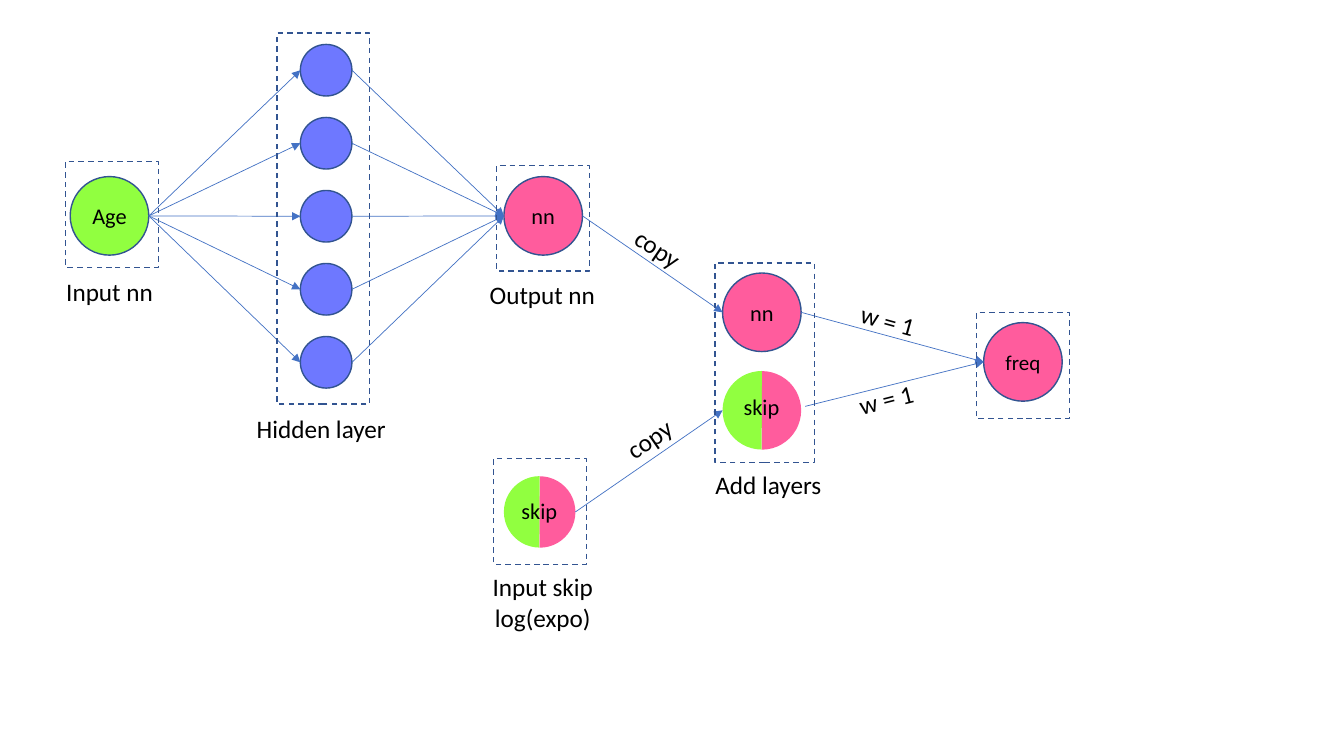
from dataclasses import dataclass

from lxml import etree
from pptx import Presentation
from pptx import util as u
from pptx.dml.color import RGBColor
from pptx.enum import dml, shapes, text
from pptx.oxml import ns


@dataclass(frozen=True)
class Theme:
    font: str = "Calibri"
    ink: str = "000000"
    outline: str = "325491"
    arrow: str = "4472C4"
    green: str = "91FF40"
    blue: str = "6E78FF"
    pink: str = "FF5C9D"
    caption_size: int = 18
    node_size: int = 16
    small_size: int = 15
    outline_width: float = 1
    arrow_width: float = 0.5


@dataclass(frozen=True)
class Node:
    x: float
    y: float
    diameter: float = 1.98

    @property
    def left(self):
        return self.x - self.diameter / 2, self.y

    @property
    def right(self):
        return self.x + self.diameter / 2, self.y


class Diagram:
    def __init__(self, slide, theme):
        self.slide = slide
        self.theme = theme

    def shape(self, kind, x, y, width, height, fill=None, outlined=True):
        box = (x - width / 2, y - height / 2, width, height)
        shape = self.slide.shapes.add_shape(kind, *map(u.Cm, box))
        shape.shadow.inherit = False
        if fill:
            shape.fill.solid()
            shape.fill.fore_color.rgb = RGBColor.from_string(fill)
        else:
            shape.fill.background()
        if outlined:
            shape.line.color.rgb = RGBColor.from_string(self.theme.outline)
            shape.line.width = u.Pt(self.theme.outline_width)
        else:
            shape.line.fill.background()
        return shape

    def set_words(self, frame, words, size, align):
        frame.text = words
        for paragraph in frame.paragraphs:
            paragraph.alignment = align
            for run in paragraph.runs:
                run.font.name = self.theme.font
                run.font.size = u.Pt(size)
                run.font.color.rgb = RGBColor.from_string(self.theme.ink)

    def circle(self, node, fill, words="", size=None):
        circle = self.shape(shapes.MSO_SHAPE.OVAL, node.x, node.y,
                            node.diameter, node.diameter, fill)
        if words:
            frame = circle.text_frame
            frame.margin_left = frame.margin_right = 0
            frame.vertical_anchor = text.MSO_ANCHOR.MIDDLE
            self.set_words(frame, words, size or self.theme.node_size,
                           text.PP_ALIGN.CENTER)

    def split_circle(self, node):
        for fill, rotation in ((self.theme.green, 0), (self.theme.pink, 180)):
            half = self.shape(shapes.MSO_SHAPE.PIE, node.x, node.y,
                              node.diameter, node.diameter, fill, outlined=False)
            half.adjustments[0] = 54.17
            half.adjustments[1] = 162
            half.rotation = rotation

    def frame(self, x, y, width=2.34, height=2.67):
        frame = self.shape(shapes.MSO_SHAPE.RECTANGLE, x, y, width, height)
        frame.line.dash_style = dml.MSO_LINE.DASH

    def arrow(self, start, end):
        arrow = self.slide.shapes.add_connector(
            shapes.MSO_CONNECTOR.STRAIGHT, *map(u.Cm, (*start, *end)))
        arrow.line.color.rgb = RGBColor.from_string(self.theme.arrow)
        arrow.line.width = u.Pt(self.theme.arrow_width)
        properties = arrow._element.spPr
        etree.SubElement(properties.get_or_add_ln(), ns.qn("a:tailEnd"), type="triangle")
        etree.SubElement(properties, ns.qn("a:effectLst"))

    def label(self, words, x, y, width, height=1.02, size=None, rotation=0,
              align=text.PP_ALIGN.LEFT):
        box = (x - width / 2, y - height / 2, width, height)
        label = self.slide.shapes.add_textbox(*map(u.Cm, box))
        label.rotation = rotation
        label.text_frame.word_wrap = False
        label.text_frame.auto_size = text.MSO_AUTO_SIZE.SHAPE_TO_FIT_TEXT
        self.set_words(label.text_frame, words, size or self.theme.caption_size, align)


def main():
    deck = Presentation()
    deck.slide_width, deck.slide_height = u.Cm(33.87), u.Cm(19.05)
    theme = Theme()
    diagram = Diagram(deck.slides.add_slide(deck.slide_layouts[6]), theme)

    age = Node(2.76, 5.44)
    hidden = [Node(8.22, 1.77 + 1.84 * row, 1.3) for row in range(5)]
    output = Node(13.69, 5.44)
    skip_input = Node(13.6, 12.9, 1.8)
    added_output = Node(19.2, 7.87)
    added_skip = Node(19.2, 10.34)
    frequency = Node(25.78, 9.12)

    diagram.circle(age, theme.green, "Age")
    for neuron in hidden:
        diagram.circle(neuron, theme.blue)
    for node in (output, added_output):
        diagram.circle(node, theme.pink, "nn")
    diagram.circle(frequency, theme.pink, "freq", theme.small_size)
    for node in (skip_input, added_skip):
        diagram.split_circle(node)

    for neuron in hidden:
        diagram.arrow(age.right, neuron.left)
        diagram.arrow(neuron.right, output.left)
    diagram.arrow(output.right, added_output.left)
    diagram.arrow(skip_input.right, added_skip.left)
    diagram.arrow(added_output.right, frequency.left)
    diagram.arrow((20.29, 10.24), frequency.left)

    for x, y in ((2.82, 5.4), (13.69, 5.5), (13.61, 12.89), (25.78, 9.21)):
        diagram.frame(x, y)
    diagram.frame(8.15, 5.51, height=9.35)
    diagram.frame(19.27, 9.14, 2.51, 5.03)

    for x, y in ((13.6, 12.87), (19.2, 10.25)):
        diagram.label("skip", x, y, 1.42, 0.94, theme.node_size)

    for words, x, y, width in (
        ("Input nn", 2.78, 7.34, 2.72),
        ("Hidden layer", 8.2, 10.8, 3.96),
        ("Output nn", 13.69, 7.42, 3.2),
        ("Add layers", 19.38, 12.22, 3.2),
    ):
        diagram.label(words, x, y, width)
    diagram.label("Input skip\vlog(expo)", 13.68, 15.18, 3.07, 1.8,
                  align=text.PP_ALIGN.CENTER)

    for words, x, y, width, rotation in (
        ("copy", 16.6, 6.27, 1.75, 34),
        ("copy", 16.37, 11.05, 1.75, 325.5),
        ("w = 1", 22.39, 8.08, 1.9, 15.5),
        ("w = 1", 22.34, 10.06, 1.9, 345.7),
    ):
        diagram.label(words, x, y, width, rotation=rotation)

    deck.save("out.pptx")


if __name__ == "__main__":
    main()
